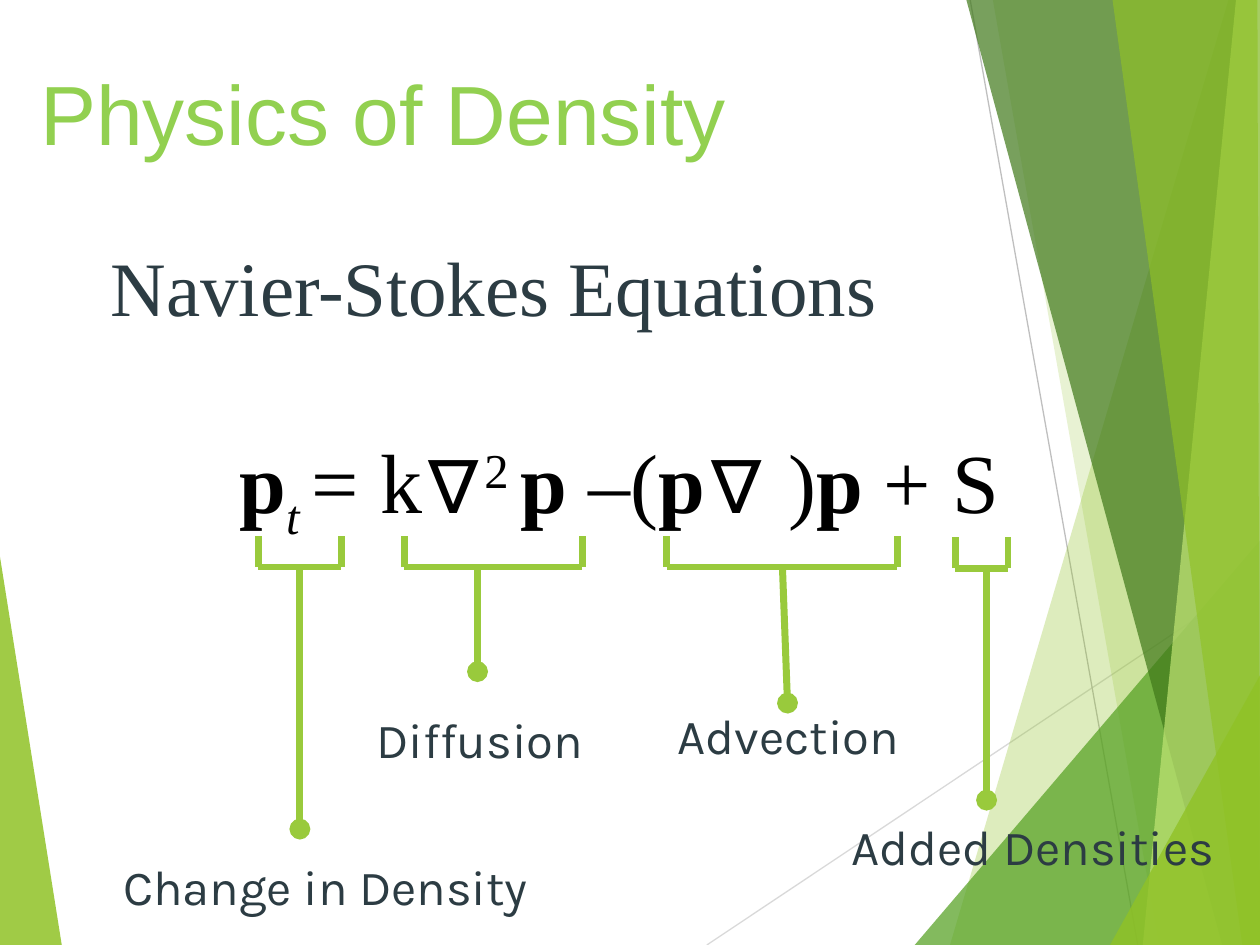
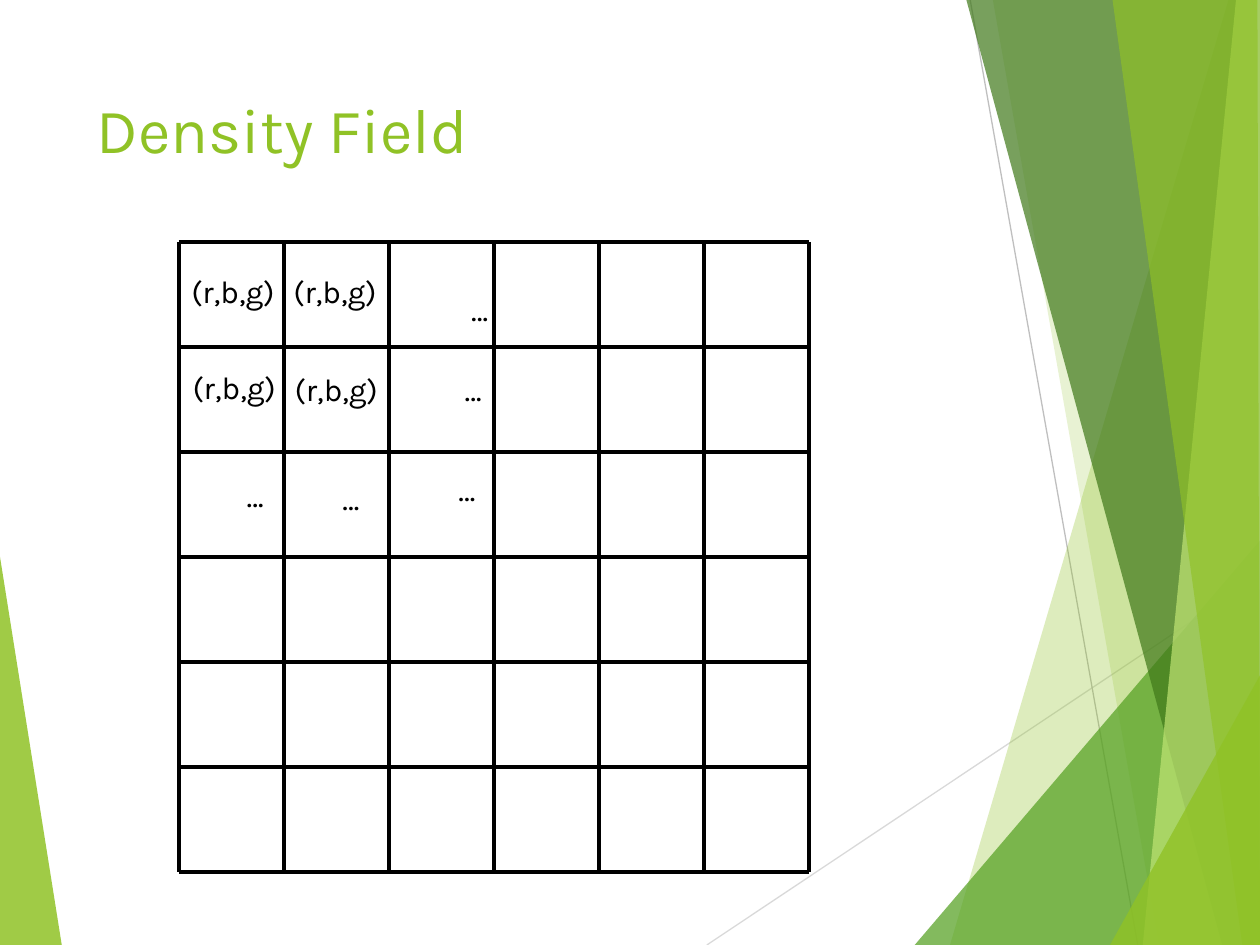
from dataclasses import dataclass

from lxml import etree
from pptx import Presentation
from pptx.dml.color import RGBColor
from pptx.enum.shapes import MSO_CONNECTOR as Connector
from pptx.enum.text import MSO_ANCHOR as Anchor, MSO_AUTO_SIZE as AutoSize, PP_ALIGN as Align
from pptx.oxml.ns import qn
from pptx.util import Inches, Pt


@dataclass(frozen=True)
class Theme:
    # Colours
    leaf: str = "90C226"
    grass: str = "54A021"
    forest: str = "3F7819"
    lime: str = "C0E474"
    bracket: str = "99CA3C"
    headline: str = "92D050"
    slate: str = "2C3C43"
    ink: str = "000000"
    pale_line: str = "D9D9D9"
    grey_line: str = "BFBFBF"
    # Fonts
    sans: str = "Arial"
    serif: str = "Times New Roman"
    body: str = "Karla"
    # Type sizes and line widths in points
    large: int = 48
    subtitle: int = 44
    title: int = 36
    label: int = 28
    cell: int = 18
    hairline: float = 0.75
    grid_line: float = 2.25
    bracket_line: float = 4


THEME = Theme()


@dataclass(frozen=True)
class Box:
    left: float
    top: float
    width: float
    height: float

    def inside(self, left, top, width, height):
        return Box(self.left + left, self.top + top, width, height)

    def point(self, x, y):
        return self.left + x, self.top + y

    def emu(self):
        return [Inches(v) for v in (self.left, self.top, self.width, self.height)]


PAGE = Box(0, 0, 10, 7.5)

# Translucent facets from back to front: colour, opacity in percent, corners
FACETS = [
    (THEME.leaf, 85, [(0, 4.42), (0.49, 7.5), (0, 7.5)]),
    (THEME.leaf, 30, [(9.75, 0), (10, 0), (10, 7.5), (7.54, 7.5)]),
    (THEME.leaf, 20, [(7.88, 0), (10, 0), (10, 7.5), (9.2, 7.5)]),
    (THEME.grass, 72, [(7.26, 7.5), (10, 4.29), (10, 7.5)]),
    (THEME.forest, 70, [(7.67, 0), (10, 0), (10, 7.5), (9.7, 7.5)]),
    (THEME.lime, 70, [(9.81, 0), (10, 0), (10, 7.5), (9.07, 7.5)]),
    (THEME.leaf, 65, [(8.83, 0), (9.98, 0), (10, 7.5), (9.86, 7.5)]),
    (THEME.leaf, 80, [(8.81, 7.5), (10, 5.36), (10, 7.5)]),
]

# Equation pieces: text, font, bold, italic, baseline shift in percent
EQUATION = [
    ("p", THEME.serif, True, False, 0),
    ("t ", THEME.serif, False, True, -25),
    ("= k", THEME.serif, False, False, 0),
    ("∇", THEME.sans, False, False, 0),
    ("2 ", THEME.serif, False, False, 30),
    ("p ", THEME.serif, True, False, 0),
    ("–(", THEME.serif, False, False, 0),
    ("p", THEME.serif, True, False, 0),
    ("⋅∇", THEME.sans, False, False, 0),
    (")", THEME.serif, False, False, 0),
    ("p", THEME.serif, True, False, 0),
    (" + S", THEME.serif, False, False, 0),
]

# Terms: label, bracket box, stem start x, stem end, label box (inside bracket box)
TERMS = [
    ("Change in Density", Box(2.05, 4.25, 0.66, 0.25), 0.33, (0.33, 2.33),
     (-1.17, 2.5, 3.51, 0.57)),
    ("Advection", Box(5.29, 4.25, 1.83, 0.25), 0.92, (0.96, 1.33),
     (-0.01, 1.3, 2, 0.57)),
    ("Diffusion", Box(3.21, 4.25, 1.41, 0.25), 0.58, (0.58, 1.08),
     (-0.32, 1.33, 1.85, 0.57)),
    ("Added Densities", Box(7.58, 4.26, 0.42, 0.25), 0.25, (0.25, 2.09),
     (-0.92, 2.17, 3.16, 0.57)),
]

# Cell entries: text and place inside the grid
RGB_SPOTS = [(0, 0.19), (0.81, 0.19), (0.01, 0.95), (0.82, 0.97)]
DOT_SPOTS = [(2.17, 0.97), (2.22, 0.33), (1.2, 1.83), (0.44, 1.81), (2.12, 1.76)]
ENTRIES = ([("(r,b,g)", 0.89, spot) for spot in RGB_SPOTS]
           + [("…", 0.4, spot) for spot in DOT_SPOTS])


def add_line(shapes, start, end, color, width, dot=False):
    ends = [Inches(v) for v in (*start, *end)]
    line = shapes.add_connector(Connector.STRAIGHT, *ends)
    line.line.color.rgb = RGBColor.from_string(color)
    line.line.width = Pt(width)
    if dot:
        etree.SubElement(line.line._get_or_add_ln(), qn("a:tailEnd"), type="oval")
    etree.SubElement(line._element.spPr, qn("a:effectLst"))


def add_facet(shapes, box, color, opacity, corners):
    points = [tuple(Inches(v) for v in box.point(*corner)) for corner in corners]
    builder = shapes.build_freeform(*points[0])
    builder.add_line_segments(points[1:], close=True)
    facet = builder.convert_to_shape()
    facet.shadow.inherit = False
    facet.line.fill.background()
    facet.fill.solid()
    facet.fill.fore_color.rgb = RGBColor.from_string(color)
    fill_color = facet._element.spPr.find(".//" + qn("a:srgbClr"))
    etree.SubElement(fill_color, qn("a:alpha"), val=str(opacity * 1000))


def add_box(shapes, box, wrap=False, align=Align.LEFT, anchor=Anchor.TOP):
    """Add an empty text box and return its first paragraph."""
    frame = shapes.add_textbox(*box.emu()).text_frame
    frame.word_wrap = wrap
    frame.auto_size = AutoSize.NONE if wrap else AutoSize.SHAPE_TO_FIT_TEXT
    frame.vertical_anchor = anchor
    para = frame.paragraphs[0]
    para.alignment = align
    return para


def add_span(para, text, size, font, color):
    span = para.add_run()
    span.text = text
    span.font.size = Pt(size)
    span.font.name = font
    span.font.color.rgb = RGBColor.from_string(color)
    return span


def draw_backdrop(page, box):
    shapes = page.shapes.add_group_shape().shapes
    add_facet(shapes, box, *FACETS[0])
    add_line(shapes, box.point(5.61, 7.5), box.point(10, 4.57),
             THEME.pale_line, THEME.hairline)
    add_line(shapes, box.point(7.7, 0), box.point(9.03, 7.5),
             THEME.grey_line, THEME.hairline)
    for facet in FACETS[1:]:
        add_facet(shapes, box, *facet)


def draw_equation(page, box):
    para = add_box(page.shapes, box, wrap=True, align=Align.CENTER)
    for text, font, bold, italic, shift in EQUATION:
        span = add_span(para, text, THEME.large, font, THEME.ink)
        span.font.bold = bold
        span.font.italic = italic
        if shift:
            span._r.get_or_add_rPr().set("baseline", str(shift * 1000))


def draw_term(page, label, box, stem_x, stem_end, label_place):
    shapes = page.shapes.add_group_shape().shapes
    low_left, low_right = box.point(0, box.height), box.point(box.width, box.height)
    strokes = [
        (low_left, low_right),
        (low_left, box.point(0, 0)),
        (low_right, box.point(box.width, 0)),
    ]
    for start, end in strokes:
        add_line(shapes, start, end, THEME.bracket, THEME.bracket_line)
    add_line(shapes, box.point(stem_x, box.height), box.point(*stem_end),
             THEME.bracket, THEME.bracket_line, dot=True)
    para = add_box(shapes, box.inside(*label_place))
    add_span(para, label, THEME.label, THEME.body, THEME.slate)


def draw_grid(page, box, cells):
    shapes = page.shapes.add_group_shape().shapes
    for index in range(cells + 1):
        x, y = box.width * index / cells, box.height * index / cells
        for start, end in [((0, y), (box.width, y)), ((x, 0), (x, box.height))]:
            add_line(shapes, box.point(*start), box.point(*end),
                     THEME.ink, THEME.grid_line)
    for text, width, spot in ENTRIES:
        para = add_box(page.shapes, box.inside(*spot, width, 0.4))
        add_span(para, text, THEME.cell, THEME.body, THEME.ink)


def build_physics_page(page, box):
    draw_backdrop(page, box)
    # Subtitle and equation
    para = add_box(page.shapes, box.inside(0.42, 1.64, 7, 1.25), wrap=True,
                   align=Align.CENTER, anchor=Anchor.MIDDLE)
    add_span(para, "Navier-Stokes Equations", THEME.subtitle, THEME.serif, THEME.slate)
    draw_equation(page, box.inside(0.08, 3.36, 9.67, 0.9))
    # Brackets that name the terms
    for term in TERMS:
        draw_term(page, *term)
    # Title
    para = add_box(page.shapes, box.inside(0.22, 0.44, 6.5, 0.9), wrap=True)
    add_span(para, "Physics of Density", THEME.large, THEME.sans, THEME.headline)


def build_field_page(page, box):
    draw_backdrop(page, box)
    # Title
    para = add_box(page.shapes, box.inside(0.67, 0.67, 6.94, 1.2), wrap=True)
    add_span(para, "Density Field", THEME.title, THEME.body, THEME.leaf)
    # Field of colour values
    draw_grid(page, box.inside(1.42, 1.92, 5, 5), cells=6)


def main():
    deck = Presentation()
    deck.slide_width, deck.slide_height = Inches(PAGE.width), Inches(PAGE.height)
    blank = deck.slide_layouts[6]
    for build_page in (build_physics_page, build_field_page):
        build_page(deck.slides.add_slide(blank), PAGE)
    deck.save("out.pptx")


if __name__ == "__main__":
    main()
